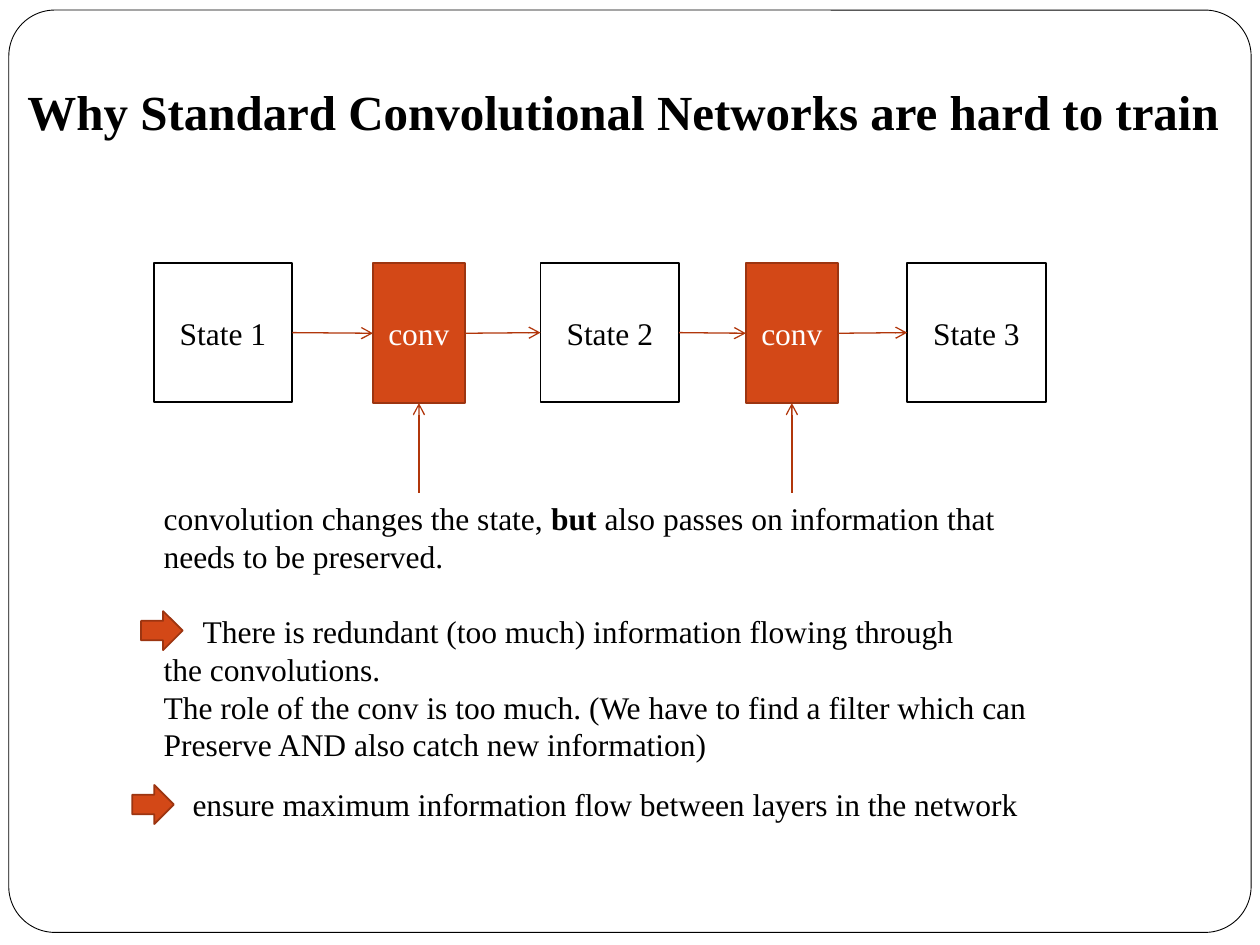
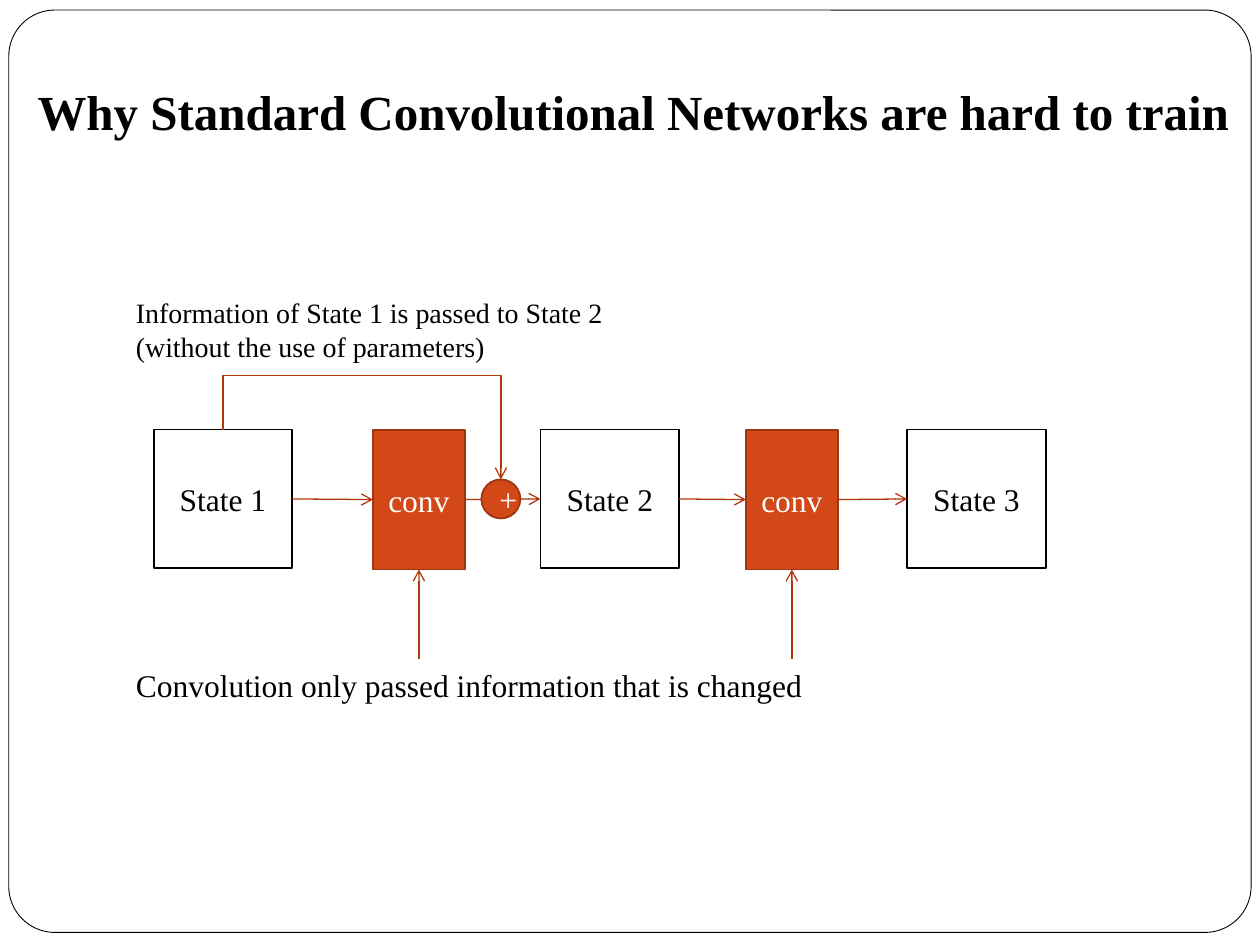
from lxml import etree
from pptx import Presentation
from pptx.dml.color import RGBColor as RGB
from pptx.enum.shapes import MSO_CONNECTOR as Link, MSO_SHAPE as Form
from pptx.enum.text import MSO_ANCHOR as Anchor, PP_ALIGN as Align
from pptx.oxml.ns import qn
from pptx.util import Inches, Pt

HUES = {"ink": "000000", "paper": "FFFFFF", "conv": "D34817",
        "edge": "9C3511", "wire": "B1360B"}
FONT = "Times New Roman"
TITLE = "Why Standard Convolutional Networks are hard to train"
ROW = [("State 1", 1.22), ("conv", 2.96), ("State 2", 4.29),
       ("conv", 5.92), ("State 3", 7.2)]
SIDE, CONV_W, CONV_H = 1.1, 0.73, 1.11


def hue(name):
    """Return the named colour."""
    return RGB.from_string(HUES[name])


def add_run(para, text, size=18, color="ink", bold=False):
    """Add one styled run to a paragraph."""
    run = para.add_run()
    run.text = text
    font = run.font
    font.name, font.size, font.bold = FONT, Pt(size), bold
    font.color.rgb = hue(color)


def add_text(slide, box, paras, size=18, bold=False):
    """Add a text box from (runs, indent, space before) paragraphs."""
    frame = slide.shapes.add_textbox(*map(Inches, box)).text_frame
    frame.word_wrap = True
    for i, (runs, indent, gap) in enumerate(paras):
        para = frame.add_paragraph() if i else frame.paragraphs[0]
        if indent:
            para._p.get_or_add_pPr().set("indent", str(Inches(indent)))
        if gap:
            para.space_before = Pt(gap)
        for text, strong in runs:
            add_run(para, text, size, bold=bold or strong)


def plain(text, indent=0, gap=0):
    """Describe a paragraph with a single regular run."""
    return [(text, False)], indent, gap


def add_form(slide, form, box, fill, edge, text="", color="paper", width=1):
    """Add a filled preset shape with a centred label."""
    shape = slide.shapes.add_shape(form, *map(Inches, box))
    shape.shadow.inherit = False
    shape.fill.solid()
    shape.fill.fore_color.rgb = hue(fill)
    shape.line.color.rgb = hue(edge)
    shape.line.width = Pt(width)
    if text:
        frame = shape.text_frame
        frame.vertical_anchor = Anchor.MIDDLE
        para = frame.paragraphs[0]
        para.alignment = Align.CENTER
        add_run(para, text, color=color)
    return shape


def add_wire(slide, kind, start, end):
    """Add a connector that ends in an open arrowhead."""
    wire = slide.shapes.add_connector(kind, *map(Inches, start + end))
    wire.line.color.rgb = hue("wire")
    wire.line.width = Pt(0.75)
    props = wire._element.spPr
    etree.SubElement(props.find(qn("a:ln")), qn("a:tailEnd"), type="arrow")
    etree.SubElement(props, qn("a:effectLst"))
    return wire


def add_skip(slide, start, end, rise):
    """Add an elbow that climbs from start and drops onto end."""
    (left, top), (right, low) = start, end
    run, drop = right - left, low - top
    mid_x, mid_y = (left + right) / 2, (top + low) / 2
    wire = add_wire(slide, Link.ELBOW,
                    (mid_x + drop / 2, mid_y - run / 2),
                    (mid_x - drop / 2, mid_y + run / 2))
    props = wire._element.spPr
    props.find(qn("a:xfrm")).set("rot", str(270 * 60000))
    geom = props.find(qn("a:prstGeom"))
    guides = geom.find(qn("a:avLst"))
    if guides is None:
        guides = etree.SubElement(geom, qn("a:avLst"))
    etree.SubElement(guides, qn("a:gd"), name="adj1",
                     fmla=f"val {round(-rise / drop * 100000)}")


def add_chain(slide, top):
    """Draw the states and convolutions with the arrows that join them."""
    boxes = []
    for label, left in ROW:
        if label == "conv":
            box = add_form(slide, Form.RECTANGLE, (left, top, CONV_W, CONV_H),
                           "conv", "edge", label)
        else:
            box = add_form(slide, Form.RECTANGLE, (left, top, SIDE, SIDE),
                           "paper", "ink", label, "ink")
        boxes.append(box)
    for src, dest in zip(boxes, boxes[1:]):
        wire = add_wire(slide, Link.STRAIGHT, (0, 0), (1, 1))
        wire.begin_connect(src, 3)
        wire.end_connect(dest, 1)
    for (label, left), box in zip(ROW, boxes):
        if label == "conv":
            mid, low = left + CONV_W / 2, top + CONV_H
            wire = add_wire(slide, Link.STRAIGHT, (mid, low + 0.71), (mid, low))
            wire.end_connect(box, 2)


def add_point(slide, left, top):
    """Add a small block arrow that marks a conclusion."""
    add_form(slide, Form.RIGHT_ARROW, (left, top, 0.33, 0.31), "conv", "edge")


def add_page(deck, left):
    """Add a slide with the rounded frame and the title."""
    slide = deck.slides.add_slide(deck.slide_layouts[6])
    frame = add_form(slide, Form.ROUNDED_RECTANGLE, (0.07, 0.08, 9.86, 7.32),
                     "paper", "ink", width=0.5)
    frame.adjustments[0] = 0.05
    add_text(slide, (left, 0.6, 9.77, 0.57), [plain(TITLE)], 28, True)
    return slide


def add_issue(deck):
    """Build the slide on redundant information."""
    slide = add_page(deck, 0.12)
    add_chain(slide, 2.09)
    add_text(slide, (1.2, 3.91, 8.21, 2.22), [
        ([("convolution changes the state, ", False), ("but", True),
          (" also passes on information that", False)], 0, 0),
        plain("needs to be preserved."),
        plain("There is redundant (too much) information flowing through",
              0.31, 21.5),
        plain("the convolutions."),
        plain("The role of the conv is too much. "
              "(We have to find a filter which can"),
        plain("Preserve AND also catch new information)")])
    add_text(slide, (1.06, 6.18, 8.27, 0.4), [
        plain("ensure maximum information flow between layers in the network",
              0.37)])
    add_point(slide, 1.12, 4.85)
    add_point(slide, 1.05, 6.23)


def add_remedy(deck):
    """Build the slide on the skip connection."""
    slide = add_page(deck, 0.2)
    top, size = 3.41, 0.31
    add_chain(slide, top)
    add_text(slide, (0.98, 2.3, 4.67, 0.64), [
        plain("Information of State 1 is passed to State 2 "
              "(without the use of parameters)")], 16)
    add_text(slide, (0.98, 5.24, 6.31, 0.4), [
        plain("Convolution only passed information that is changed")])
    left, high = 3.82, top + (SIDE - size) / 2
    add_skip(slide, (ROW[0][1] + SIDE / 2, top), (left + size / 2, high), 0.43)
    add_form(slide, Form.OVAL, (left, high, size, size), "conv", "edge", "+")


def main():
    """Build and save the deck."""
    deck = Presentation()
    deck.slide_width, deck.slide_height = Inches(10), Inches(7.5)
    add_issue(deck)
    add_remedy(deck)
    deck.save("out.pptx")


if __name__ == "__main__":
    main()
